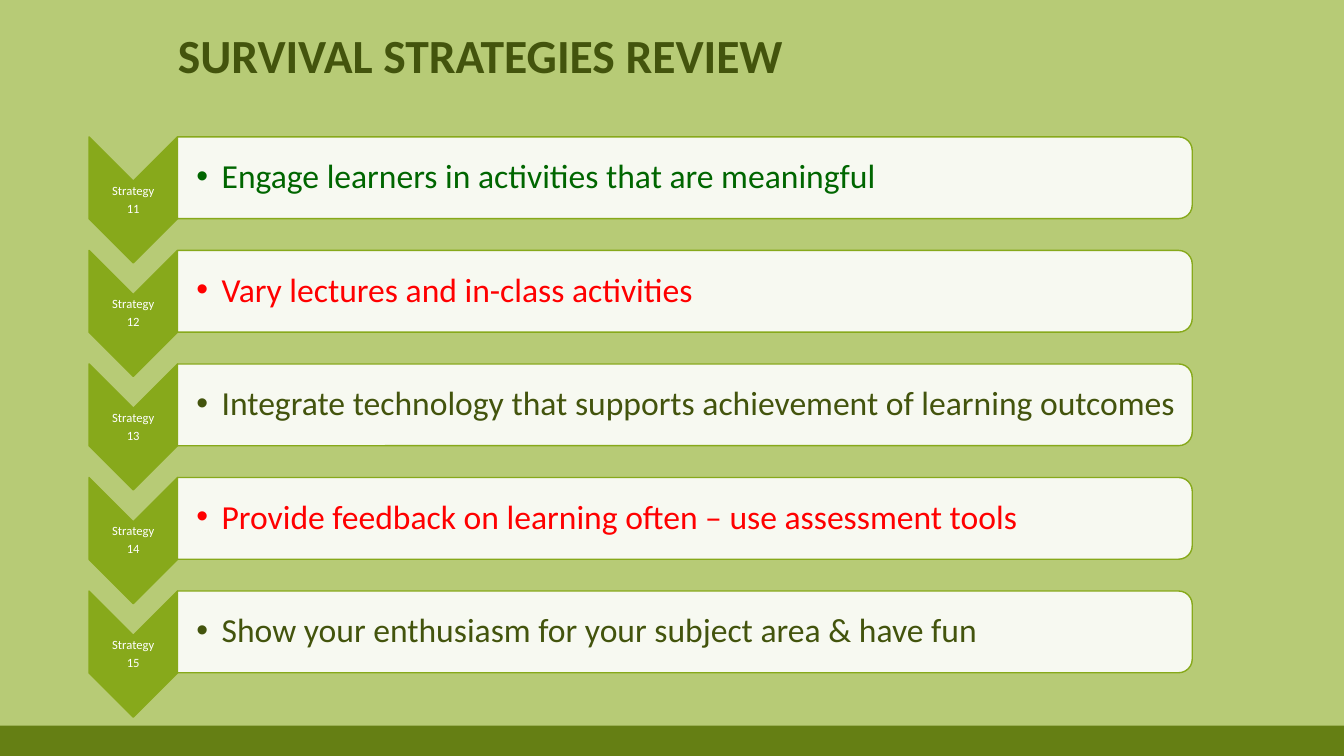
from lxml import etree
from pptx import Presentation
from pptx.dml.color import RGBColor
from pptx.enum import shapes, text
from pptx.oxml import ns
from pptx.util import Pt

FONT = "Calibri"
BACKGROUND = RGBColor(0xB7, 0xCB, 0x76)
LEAF = RGBColor(0x87, 0xA9, 0x1B)
FOOTER = RGBColor(0x65, 0x7F, 0x14)
OLIVE = RGBColor(0x43, 0x54, 0x0D)
GREEN = RGBColor(0x00, 0x66, 0x00)
RED = RGBColor(0xFF, 0x00, 0x00)
WHITE = RGBColor(0xFF, 0xFF, 0xFF)

WIDTH, HEIGHT = 960, 540
ROW_PITCH = 81.1
FIRST_STRATEGY = 11
STRATEGIES = [
    ("Engage learners in activities that are meaningful", GREEN),
    ("Vary lectures and in-class activities", RED),
    ("Integrate technology that supports achievement of learning outcomes", OLIVE),
    ("Provide feedback on learning often – use assessment tools", RED),
    ("Show your enthusiasm for your subject area & have fun", OLIVE),
]


def add_text(slide, box, lines, size, color, bold=False, align=text.PP_ALIGN.LEFT,
             anchor=text.MSO_ANCHOR.MIDDLE, insets=(1, 1, 1, 1), after=0, bullet=False):
    sp = slide.shapes.add_textbox(*map(Pt, box))
    tf = sp.text_frame
    tf.word_wrap = True
    tf.vertical_anchor = anchor
    tf.margin_left, tf.margin_top, tf.margin_right, tf.margin_bottom = map(Pt, insets)
    for i, line in enumerate(lines):
        p = tf.paragraphs[0] if i == 0 else tf.add_paragraph()
        p.alignment = align
        p.line_spacing = 0.9
        p.space_after = Pt(after)
        r = p.add_run()
        r.text = line
        r.font.name, r.font.size, r.font.bold = FONT, Pt(size), bold
        r.font.color.rgb = color
        if bullet:
            add_bullet(p)


def add_bullet(p, indent=18):
    props = p._p.get_or_add_pPr()
    props.set("marL", str(Pt(indent)))
    props.set("indent", str(-Pt(indent)))
    etree.SubElement(props, ns.qn("a:buFont"), typeface="Arial")
    etree.SubElement(props, ns.qn("a:buChar"), char="•")


def add_filled(slide, kind, box, fill, line=None):
    sp = slide.shapes.add_shape(kind, *map(Pt, box))
    sp.shadow.inherit = False
    sp.fill.solid()
    sp.fill.fore_color.rgb = fill
    if line is None:
        sp.line.fill.background()
    else:
        sp.line.color.rgb = line
        sp.line.width = Pt(1)
    return sp


def add_turned(slide, kind, box, fill):
    """Add a shape turned by 90 degrees that covers the given box."""
    x, y, w, h = box
    unturned = (x + (w - h) / 2, y + (h - w) / 2, h, w)
    sp = add_filled(slide, kind, unturned, fill, LEAF)
    sp.rotation = 90
    return sp


def set_opacity(sp, percent):
    color = sp.fill._xPr.find(ns.qn("a:solidFill"))[0]
    etree.SubElement(color, ns.qn("a:alpha"), val=str(percent * 1000))


def add_strategy(slide, box, number, wording, color):
    x, y, w, h = box
    arrow_w, panel_h = 63.2, 58.4
    add_turned(slide, shapes.MSO_SHAPE.CHEVRON, (x, y, arrow_w, h), LEAF)
    add_text(slide, (x, y + 31.4, arrow_w, 27.4), ["Strategy", str(number)], 9, WHITE,
             align=text.PP_ALIGN.CENTER, after=3.15)
    panel_box = (x + arrow_w, y, w - arrow_w, panel_h)
    panel = add_turned(slide, shapes.MSO_SHAPE.ROUND_2_SAME_RECTANGLE, panel_box, WHITE)
    set_opacity(panel, 90)
    add_text(slide, panel_box, [wording], 24, color,
             insets=(13.5, 1.2, 1.2, 1.2), after=3.6, bullet=True)


def add_strategies(slide, box):
    x, y, w, h = box
    for i, (wording, color) in enumerate(STRATEGIES):
        add_strategy(slide, (x, y + i * ROW_PITCH, w, h - (len(STRATEGIES) - 1) * ROW_PITCH),
                     FIRST_STRATEGY + i, wording, color)


def add_title(slide, box):
    add_text(slide, box, ["SURVIVAL STRATEGIES REVIEW"], 34, OLIVE, bold=True,
             anchor=text.MSO_ANCHOR.BOTTOM, insets=(7.2, 3.6, 7.2, 3.6))


def main():
    prs = Presentation()
    prs.slide_width, prs.slide_height = Pt(WIDTH), Pt(HEIGHT)
    slide = prs.slides.add_slide(prs.slide_layouts[6])
    slide.background.fill.solid()
    slide.background.fill.fore_color.rgb = BACKGROUND
    add_filled(slide, shapes.MSO_SHAPE.RECTANGLE, (0, 518.4, WIDTH, 21.6), FOOTER)
    add_title(slide, (120, 10.8, 720, 52.6))
    add_strategies(slide, (63.6, 97.8, 788, 414.4))
    prs.save("out.pptx")


if __name__ == "__main__":
    main()
